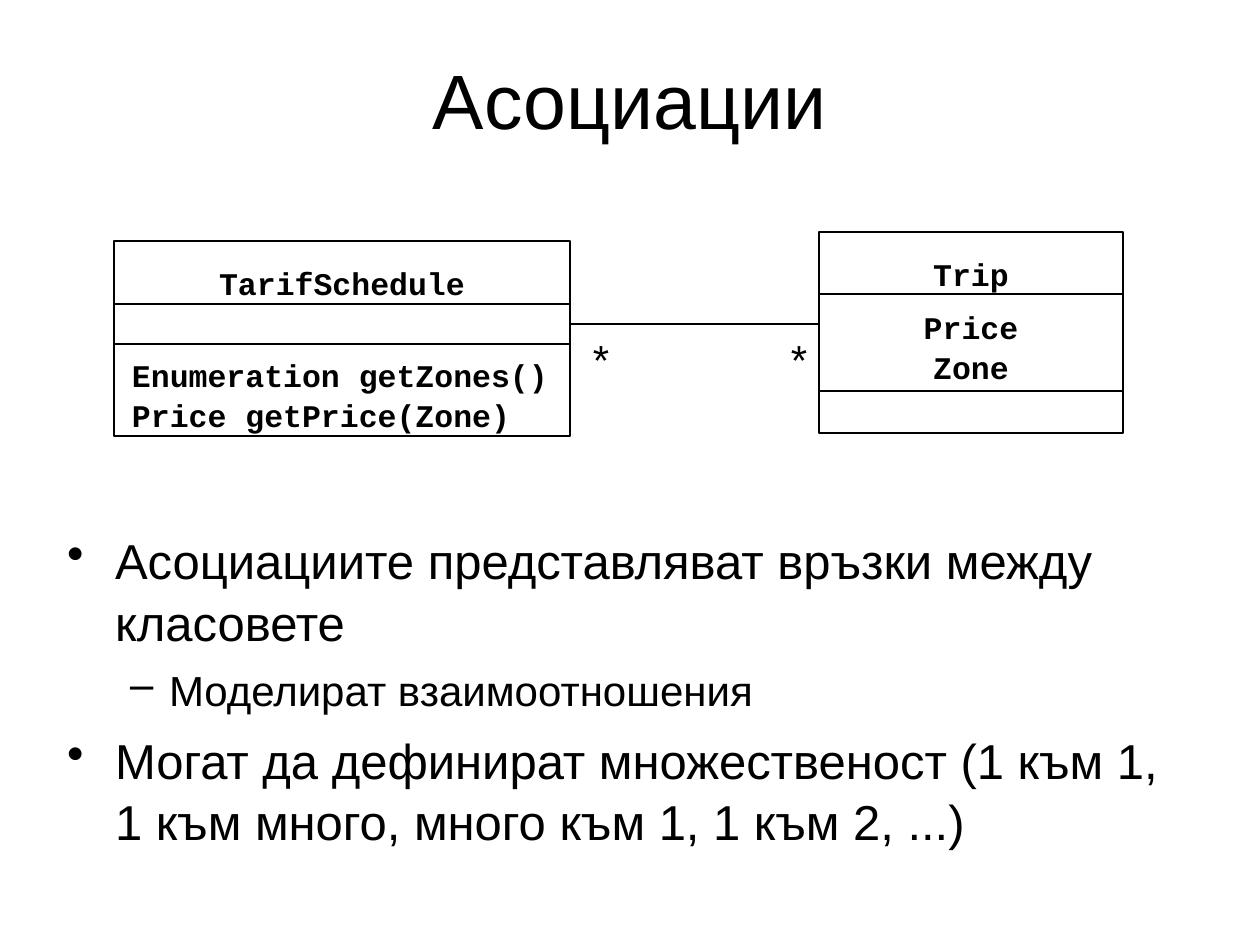
import dataclasses

import pptx
import pptx.dml.color
import pptx.enum.shapes
import pptx.enum.text
import pptx.oxml.ns
import pptx.util
from lxml import etree

EMU_PER_PX = 914400 / 126
ALIGN = pptx.enum.text.PP_ALIGN
ANCHOR = pptx.enum.text.MSO_ANCHOR
RIGHT_SIDE = 3


@dataclasses.dataclass(frozen=True)
class Theme:
    ink: pptx.dml.color.RGBColor = pptx.dml.color.RGBColor(0, 0, 0)
    sans: str = "Arial"
    mono: str = "Courier New"
    title_size: int = 44
    bullet_sizes: tuple = (28, 24)
    code_size: int = 18
    multiplicity_size: int = 24
    box_line: float = 1.25
    link_line: float = 1.5
    line_spacing: float = 1.05


THEME = Theme()


def px(value):
    return pptx.util.Emu(round(value * EMU_PER_PX))


def style(paragraph, size, font=THEME.sans, bold=False):
    paragraph.line_spacing = THEME.line_spacing
    paragraph.font.name = font
    paragraph.font.size = pptx.util.Pt(size)
    paragraph.font.bold = bold
    paragraph.font.color.rgb = THEME.ink


def add_frame(slide, left, top, width, height, inset=(0, 0), anchor=ANCHOR.TOP, wrap=True):
    frame = slide.shapes.add_textbox(px(left), px(top), px(width), px(height)).text_frame
    frame.word_wrap = wrap
    frame.vertical_anchor = anchor
    frame.margin_left = frame.margin_right = px(inset[0])
    frame.margin_top = frame.margin_bottom = px(inset[1])
    return frame


def add_label(slide, text, box, size, **frame_options):
    frame = add_frame(slide, *box, **frame_options)
    frame.text = text
    paragraph = frame.paragraphs[0]
    paragraph.alignment = ALIGN.CENTER
    style(paragraph, size)


def add_code(slide, text, left, top, width, height, alignment=ALIGN.CENTER):
    frame = add_frame(slide, left, top, width, height, wrap=False)
    frame.text = text
    for paragraph in frame.paragraphs:
        paragraph.alignment = alignment
        style(paragraph, THEME.code_size, THEME.mono, bold=True)


def add_class_box(slide, left, top, width, heights):
    """Stack the name, attribute and operation compartments and return them."""
    compartments = []
    for height in heights:
        shape = slide.shapes.add_shape(
            pptx.enum.shapes.MSO_SHAPE.RECTANGLE, px(left), px(top), px(width), px(height))
        shape.shadow.inherit = False
        shape.fill.background()
        shape.line.color.rgb = THEME.ink
        shape.line.width = pptx.util.Pt(THEME.box_line)
        compartments.append(shape)
        top += height
    return compartments


def add_association(slide, source, end_x, y):
    connector = slide.shapes.add_connector(
        pptx.enum.shapes.MSO_CONNECTOR.STRAIGHT, source.left + source.width, px(y), px(end_x), px(y))
    connector.begin_connect(source, RIGHT_SIDE)
    connector.line.color.rgb = THEME.ink
    connector.line.width = pptx.util.Pt(THEME.link_line)
    properties = connector._element.spPr
    etree.SubElement(properties, pptx.oxml.ns.qn("a:effectLst"))


def add_bullets(slide, box, items):
    marks = (("•", 48, 48, 7), ("–", 102, 39, 6))
    frame = add_frame(slide, *box, inset=(13, 6))
    for index, (level, text) in enumerate(items):
        mark, indent, hanging, space = marks[level]
        paragraph = frame.add_paragraph() if index else frame.paragraphs[0]
        paragraph.text = text
        paragraph.level = level
        if index:
            paragraph.space_before = pptx.util.Pt(space)
        properties = paragraph._p.get_or_add_pPr()
        properties.set("marL", str(px(indent)))
        properties.set("indent", str(-px(hanging)))
        bullet = etree.SubElement(properties, pptx.oxml.ns.qn("a:buChar"))
        bullet.set("char", mark)
        style(paragraph, THEME.bullet_sizes[level])


def main():
    presentation = pptx.Presentation()
    presentation.slide_width, presentation.slide_height = px(1260), px(945)
    slide = presentation.slides.add_slide(presentation.slide_layouts[6])

    add_label(slide, "Асоциации", (63, 38, 1134, 117), THEME.title_size,
              inset=(13, 6), anchor=ANCHOR.MIDDLE)

    schedule = add_class_box(slide, 114, 241, 456, (63, 40, 92))
    add_code(slide, "TarifSchedule", 114, 262, 456, 38)
    add_code(slide, "Enumeration getZones()\nPrice getPrice(Zone)", 132, 354, 430, 76, ALIGN.LEFT)

    add_class_box(slide, 819, 232, 304, (62, 97, 42))
    add_code(slide, "Trip", 819, 253, 304, 38)
    add_code(slide, "Price\vZone", 819, 306, 304, 76)

    add_association(slide, schedule[1], 819, 324)
    for left in (580, 778):
        add_label(slide, "*", (left, 326, 42, 63), THEME.multiplicity_size,
                  inset=(13, 6), anchor=ANCHOR.MIDDLE, wrap=False)

    add_bullets(slide, (54, 522, 1138, 367), (
        (0, "Асоциациите представляват връзки между класовете"),
        (1, "Моделират взаимоотношения"),
        (0, "Могат да дефинират множественост (1 към 1, 1 към много, много към 1, 1 към 2, ...)"),
    ))
    presentation.save("out.pptx")


if __name__ == "__main__":
    main()
